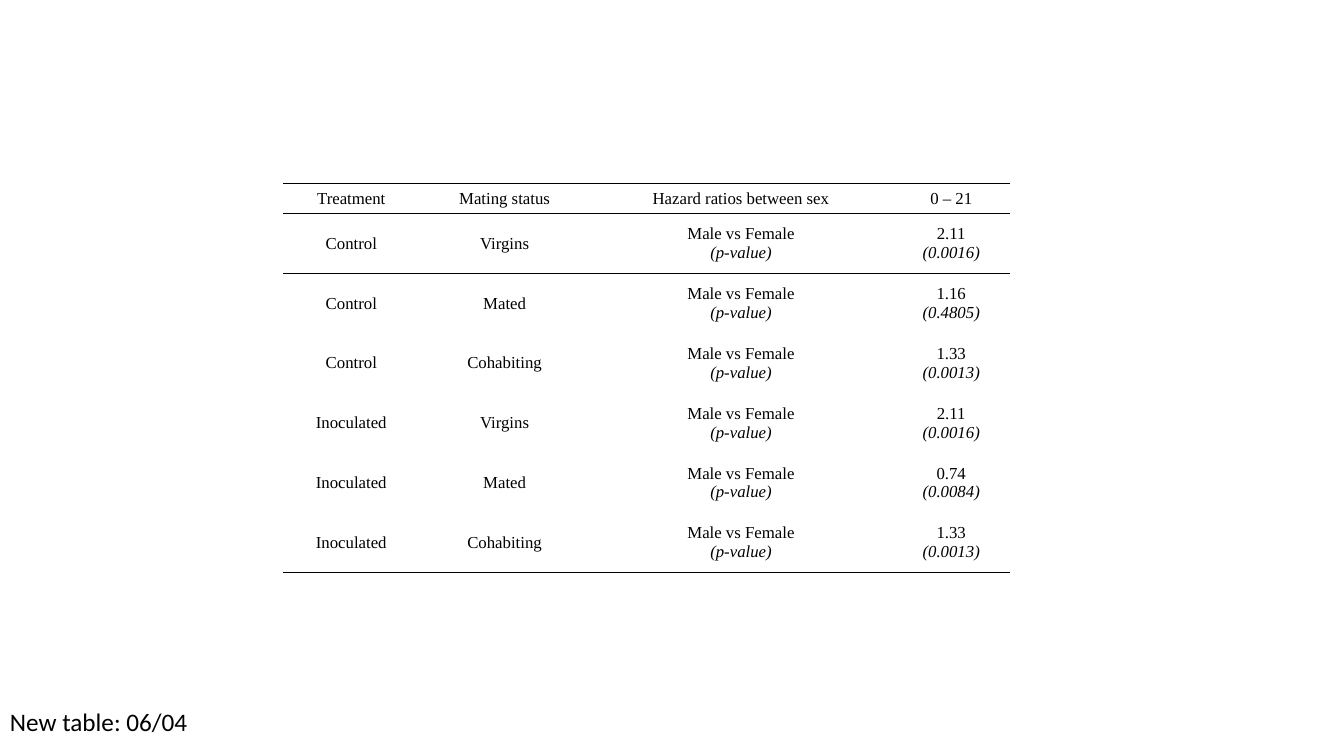
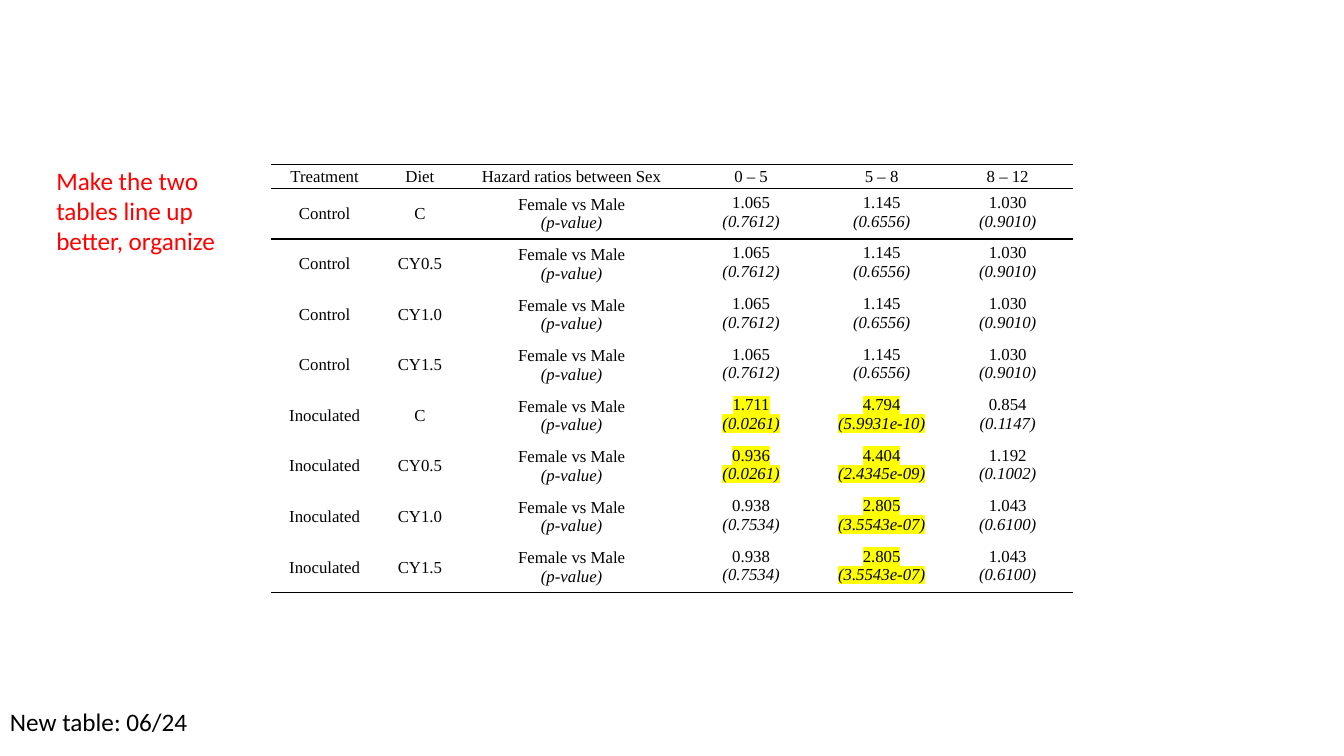
from dataclasses import dataclass

import pptx
import pptx.dml.color
import pptx.enum.text
import pptx.oxml
import pptx.oxml.ns
import pptx.presentation
import pptx.slide
import pptx.table
import pptx.text.text
import pptx.util

Inches = pptx.util.Inches
Pt = pptx.util.Pt
Anchor = pptx.enum.text.MSO_ANCHOR

COLORS = {"ink": "000000", "note": "FF0000", "mark": "FFFF00"}
TABLE_FONT, NOTE_FONT = "Times New Roman", "Calibri"
PLAIN_TABLE_STYLE = "{2D5ABB26-0587-4C30-8999-92F81FD0307C}"
SIGNIFICANT = 0.05
LABEL_COLUMNS = 3


@dataclass(frozen=True)
class Ratio:
    value: str
    p_value: str

    @property
    def significant(self) -> bool:
        return float(self.p_value) < SIGNIFICANT


@dataclass(frozen=True)
class Row:
    treatment: str
    group: str
    ratios: tuple[Ratio, ...]


@dataclass(frozen=True)
class RatioTable:
    left: float
    top: float
    height: float
    header_height: float
    widths: tuple[float, ...]
    header: tuple[str, ...]
    comparison: str
    rows: tuple[Row, ...]
    margins: tuple[float, float]
    ratio_margins: tuple[float, float]
    ratio_anchor: Anchor
    mark_significant: bool


@dataclass(frozen=True)
class Note:
    text: str
    left: float
    top: float
    width: float
    height: float
    color: str = "ink"
    wrap: bool = False


VIRGINS, COHABITING = Ratio("2.11", "0.0016"), Ratio("1.33", "0.0013")
MATING_TABLE = RatioTable(
    left=2.81, top=1.82, height=3.86, header_height=0.3,
    widths=(1.35, 1.69, 3, 1.17),
    header=("Treatment", "Mating status", "Hazard ratios between sex", "0 – 21"),
    comparison="Male vs Female",
    rows=(
        Row("Control", "Virgins", (VIRGINS,)),
        Row("Control", "Mated", (Ratio("1.16", "0.4805"),)),
        Row("Control", "Cohabiting", (COHABITING,)),
        Row("Inoculated", "Virgins", (VIRGINS,)),
        Row("Inoculated", "Mated", (Ratio("0.74", "0.0084"),)),
        Row("Inoculated", "Cohabiting", (COHABITING,)),
    ),
    margins=(0.07, 0.04), ratio_margins=(0.07, 0.04),
    ratio_anchor=Anchor.MIDDLE, mark_significant=False,
)

DIETS = ("C", "CY0.5", "CY1.0", "CY1.5")
CONTROL = (Ratio("1.065", "0.7612"), Ratio("1.145", "0.6556"), Ratio("1.030", "0.9010"))
HIGH_YEAST = (Ratio("0.938", "0.7534"), Ratio("2.805", "3.5543e-07"), Ratio("1.043", "0.6100"))
INOCULATED = (
    (Ratio("1.711", "0.0261"), Ratio("4.794", "5.9931e-10"), Ratio("0.854", "0.1147")),
    (Ratio("0.936", "0.0261"), Ratio("4.404", "2.4345e-09"), Ratio("1.192", "0.1002")),
    HIGH_YEAST,
    HIGH_YEAST,
)
DIET_TABLE = RatioTable(
    left=2.69, top=1.63, height=4.25, header_height=0.24,
    widths=(1.06, 0.83, 2.18, 1.38, 1.21, 1.29),
    header=("Treatment", "Diet", "Hazard ratios between Sex", "0 – 5", "5 – 8", "8 – 12"),
    comparison="Female vs Male",
    rows=(
        *(Row("Control", diet, CONTROL) for diet in DIETS),
        *(Row("Inoculated", diet, ratios) for diet, ratios in zip(DIETS, INOCULATED)),
    ),
    margins=(0.05, 0.02), ratio_margins=(0.1, 0.05),
    ratio_anchor=Anchor.TOP, mark_significant=True,
)


def style_run(r: pptx.text.text._Run, font: str, size: float, color: str) -> None:
    r.font.size = Pt(size)
    r.font.name = font
    r.font.color.rgb = pptx.dml.color.RGBColor.from_string(COLORS[color])


def highlight(r: pptx.text.text._Run) -> None:
    mark = pptx.oxml.parse_xml(
        f'<a:highlight {pptx.oxml.ns.nsdecls("a")}><a:srgbClr val="{COLORS["mark"]}"/></a:highlight>')
    r.font._element.find(pptx.oxml.ns.qn("a:solidFill")).addnext(mark)


def add_rule(cell: pptx.table._Cell, tag: str) -> None:
    """Draw one cell border: lnT for the top, lnB for the bottom."""
    cell._tc.get_or_add_tcPr().append(pptx.oxml.parse_xml(
        f'<a:{tag} {pptx.oxml.ns.nsdecls("a")} w="{Pt(1)}"><a:solidFill>'
        f'<a:srgbClr val="{COLORS["ink"]}"/></a:solidFill></a:{tag}>'))


def fill_cell(cell: pptx.table._Cell, text: str, margins: tuple[float, float],
              anchor: Anchor, marked: bool = False) -> None:
    """Write centred text; every line after the first is italic."""
    cell.margin_left = cell.margin_right = Inches(margins[0])
    cell.margin_top = cell.margin_bottom = Inches(margins[1])
    cell.vertical_anchor = anchor
    cell.fill.background()
    cell.text_frame.text = text
    for i, p in enumerate(cell.text_frame.paragraphs):
        p.alignment = pptx.enum.text.PP_ALIGN.CENTER
        for r in p.runs:
            style_run(r, TABLE_FONT, 12, "ink")
            r.font.italic = i > 0
            if marked:
                highlight(r)


def add_ratio_table(slide: pptx.slide.Slide, t: RatioTable) -> None:
    sp = slide.shapes.add_table(
        len(t.rows) + 1, len(t.widths), Inches(t.left), Inches(t.top),
        Inches(sum(t.widths)), Inches(t.height))
    table = sp.table
    table.first_row = table.horz_banding = False
    table._tbl.tblPr.find(pptx.oxml.ns.qn("a:tableStyleId")).text = PLAIN_TABLE_STYLE
    for column, width in zip(table.columns, t.widths):
        column.width = Inches(width)
    row_height = (t.height - t.header_height) / len(t.rows)
    for i, table_row in enumerate(table.rows):
        table_row.height = Inches(row_height if i else t.header_height)
        for cell in table_row.cells:
            if i <= 1:
                add_rule(cell, "lnT")
            if i in (0, len(t.rows)):
                add_rule(cell, "lnB")

    for j, text in enumerate(t.header):
        fill_cell(table.cell(0, j), text, t.margins, Anchor.MIDDLE)
    for i, row in enumerate(t.rows, start=1):
        labels = (row.treatment, row.group, f"{t.comparison}\n(p-value)")
        for j, text in enumerate(labels):
            fill_cell(table.cell(i, j), text, t.margins, Anchor.MIDDLE)
        for j, ratio in enumerate(row.ratios, start=LABEL_COLUMNS):
            fill_cell(table.cell(i, j), f"{ratio.value}\n({ratio.p_value})", t.ratio_margins,
                      t.ratio_anchor, t.mark_significant and ratio.significant)


def add_note(slide: pptx.slide.Slide, note: Note) -> None:
    sp = slide.shapes.add_textbox(
        Inches(note.left), Inches(note.top), Inches(note.width), Inches(note.height))
    tf = sp.text_frame
    tf.word_wrap = note.wrap
    tf.auto_size = pptx.enum.text.MSO_AUTO_SIZE.SHAPE_TO_FIT_TEXT
    tf.text = note.text
    style_run(tf.paragraphs[0].runs[0], NOTE_FONT, 18, note.color)


def add_table_slide(prs: pptx.presentation.Presentation, table: RatioTable,
                    date: str) -> pptx.slide.Slide:
    slide = prs.slides.add_slide(prs.slide_layouts.get_by_name("Blank"))
    add_ratio_table(slide, table)
    add_note(slide, Note(f"New table: {date}", 0, 6.96, 1.98, 0.4))
    return slide


def main() -> None:
    prs = pptx.Presentation()
    prs.slide_width, prs.slide_height = Inches(13.33), Inches(7.5)
    add_table_slide(prs, MATING_TABLE, "06/04")
    slide = add_table_slide(prs, DIET_TABLE, "06/24")
    add_note(slide, Note("Make the two tables line up better, organize",
                         0.46, 1.59, 2.08, 1.01, "note", wrap=True))
    prs.save("out.pptx")


if __name__ == "__main__":
    main()
